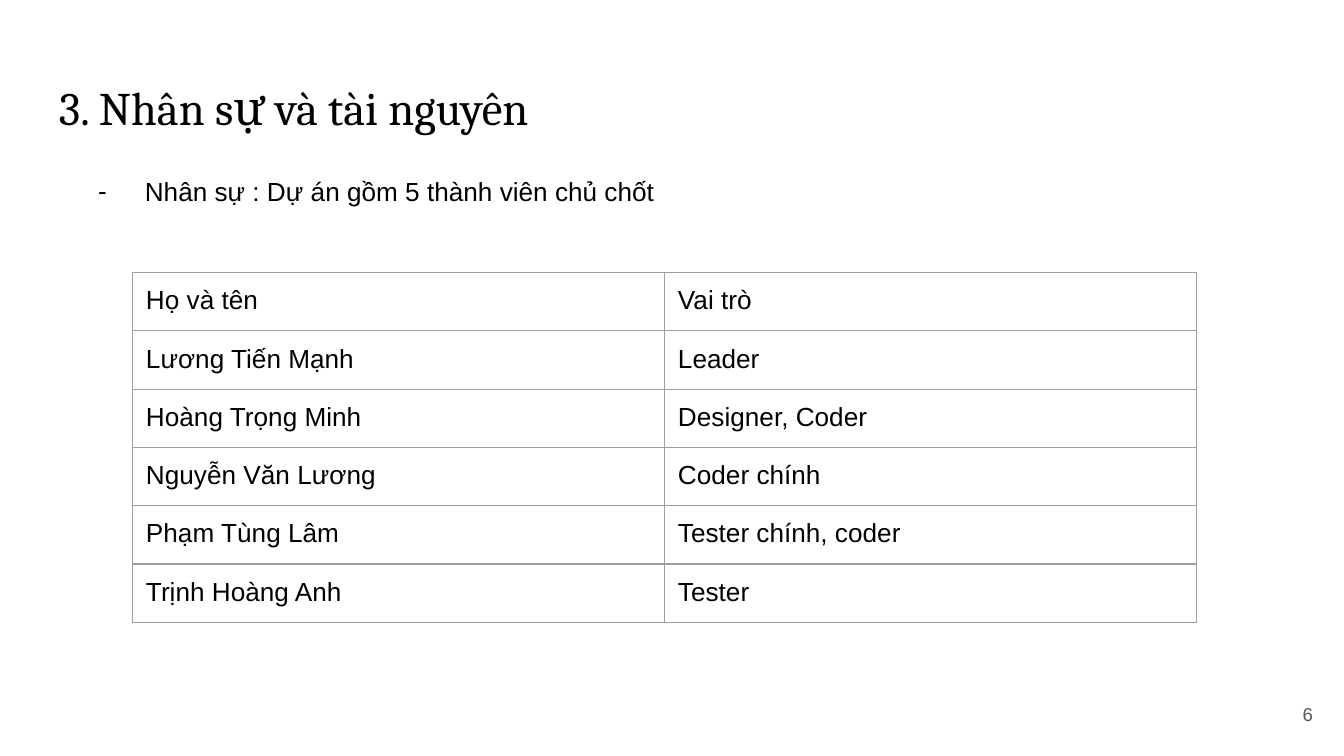
import dataclasses

import lxml.etree
import pptx
import pptx.dml.color
import pptx.enum.text
import pptx.oxml.ns
import pptx.util

Pt = pptx.util.Pt
Align = pptx.enum.text.PP_ALIGN
Anchor = pptx.enum.text.MSO_ANCHOR


@dataclasses.dataclass(frozen=True)
class Theme:
    """Colours, fonts and type sizes of the slide."""
    text: str = "000000"
    muted: str = "595959"
    border: str = "9E9E9E"
    heading_font: str = "Cambria"
    body_font: str = "Arial"
    title_size: float = 25
    body_size: float = 14
    number_size: float = 10
    inset: float = 7.2
    border_width: float = 0.75


THEME = Theme()

TEAM = [
    ("Họ và tên", "Vai trò"),
    ("Lương Tiến Mạnh", "Leader"),
    ("Hoàng Trọng Minh", "Designer, Coder"),
    ("Nguyễn Văn Lương", "Coder chính"),
    ("Phạm Tùng Lâm", "Tester chính, coder"),
    ("Trịnh Hoàng Anh", "Tester"),
]


def add_xml(parent, tag, **attributes):
    """Append a DrawingML element and return it."""
    return lxml.etree.SubElement(parent, pptx.oxml.ns.qn(tag), attributes)


def write_text(frame, text, *, size=THEME.body_size, font=THEME.body_font,
               color=THEME.text, align=Align.LEFT, spacing=1.0):
    """Write formatted text into a text frame and return its paragraph."""
    paragraph = frame.paragraphs[0]
    paragraph.alignment = align
    paragraph.line_spacing = spacing
    run = paragraph.add_run()
    run.text = text
    run.font.size = Pt(size)
    run.font.name = font
    run.font.color.rgb = pptx.dml.color.RGBColor.from_string(color)
    return paragraph


def set_margins(target):
    """Give a text frame or table cell the common inset on all sides."""
    for side in ("left", "top", "right", "bottom"):
        setattr(target, f"margin_{side}", Pt(THEME.inset))


def add_text_box(slide, left, top, width, height, text,
                 anchor=Anchor.TOP, **text_format):
    """Add a wrapped text box and return its paragraph."""
    shape = slide.shapes.add_textbox(Pt(left), Pt(top), Pt(width), Pt(height))
    frame = shape.text_frame
    frame.word_wrap = True
    frame.vertical_anchor = anchor
    set_margins(frame)
    return write_text(frame, text, **text_format)


def add_dash_bullet(paragraph, indent, hanging):
    """Give a paragraph a dash bullet with a hanging indent."""
    properties = paragraph._p.get_or_add_pPr()
    properties.set("marL", str(Pt(indent)))
    properties.set("indent", str(-Pt(hanging)))
    color = add_xml(properties, "a:buClr")
    add_xml(color, "a:srgbClr", val=THEME.text)
    add_xml(properties, "a:buFont", typeface=THEME.body_font)
    add_xml(properties, "a:buChar", char="-")


def set_borders(cell):
    """Draw a thin solid line on each side of a cell."""
    properties = cell._tc.get_or_add_tcPr()
    for position, tag in enumerate(("a:lnL", "a:lnR", "a:lnT", "a:lnB")):
        line = add_xml(properties, tag, w=str(Pt(THEME.border_width)))
        fill = add_xml(line, "a:solidFill")
        add_xml(fill, "a:srgbClr", val=THEME.border)
        properties.insert(position, line)


def add_table(slide, left, top, column_width, row_height, rows):
    """Add a plain bordered table with equal columns and rows."""
    column_count = len(rows[0])
    table = slide.shapes.add_table(
        len(rows), column_count, Pt(left), Pt(top),
        Pt(column_width * column_count), Pt(row_height * len(rows))).table
    table.first_row = False
    table.horz_banding = False
    for row_index, row in enumerate(rows):
        for column_index, text in enumerate(row):
            cell = table.cell(row_index, column_index)
            cell.fill.background()
            set_margins(cell)
            write_text(cell.text_frame, text)
            set_borders(cell)


def main():
    """Build the staffing slide and save it."""
    presentation = pptx.Presentation()
    presentation.slide_width = Pt(720)
    presentation.slide_height = Pt(405)
    slide = presentation.slides.add_slide(presentation.slide_layouts[6])

    add_text_box(slide, 24.5, 35, 671, 45, "3. Nhân sự và tài nguyên",
                 size=THEME.title_size, font=THEME.heading_font)
    staffing = add_text_box(slide, 34.5, 84.2, 661, 48,
                            "Nhân sự : Dự án gồm 5 thành viên chủ chốt",
                            spacing=1.15)
    add_dash_bullet(staffing, indent=36, hanging=25)
    add_table(slide, 71, 146, 285, 30.24, TEAM)
    add_text_box(slide, 667.2, 367.2, 43.2, 31, "6", anchor=Anchor.MIDDLE,
                 size=THEME.number_size, color=THEME.muted, align=Align.RIGHT)

    presentation.save("out.pptx")


main()
